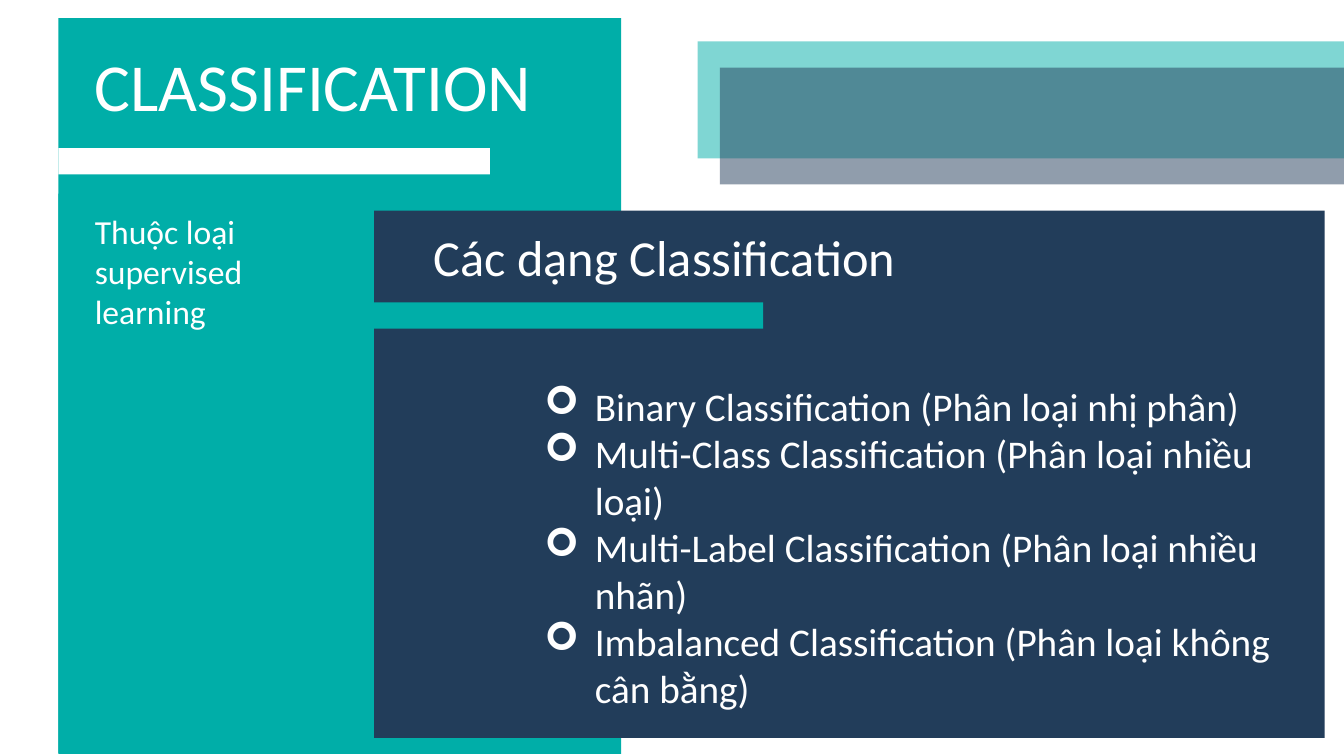
from lxml import etree
from pptx import Presentation
from pptx import util as u
from pptx.dml.color import RGBColor
from pptx.enum import shapes, text
from pptx.oxml import ns

WIDTH, HEIGHT = u.Inches(13.33), u.Inches(7.5)
FONT = "Calibri"
COLOURS = {"teal": "00AEA8", "navy": "223D5A", "white": "FFFFFF"}
BAR = 3.47
PANEL_LEFT, CARD_LEFT, TEXT_LEFT = 4.35, 27.83, 6.3
FORMS = [
    "Binary Classification (Phân loại nhị phân)",
    "Multi-Class Classification (Phân loại nhiều loại)",
    "Multi-Label Classification (Phân loại nhiều nhãn)",
    "Imbalanced Classification (Phân loại không cân bằng)",
]


def frame(left, top, width, height):
    return [
        round(share * side / 100)
        for share, side in zip((left, top, width, height), (WIDTH, HEIGHT) * 2)
    ]


def add_block(page, area, colour, opacity=100):
    block = page.shapes.add_shape(shapes.MSO_SHAPE.RECTANGLE, *frame(*area))
    block.shadow.inherit = False
    block.line.fill.background()
    block.fill.solid()
    block.fill.fore_color.rgb = RGBColor.from_string(COLOURS[colour])
    if opacity < 100:
        tint = block.fill._xPr.find(".//" + ns.qn("a:srgbClr"))
        etree.SubElement(tint, ns.qn("a:alpha"), val=str(opacity * 1000))


def set_bullet(para, bullet):
    properties = para._p.get_or_add_pPr()
    indent = u.Inches(0.5) if bullet else 0
    properties.set("marL", str(indent))
    properties.set("indent", str(-indent))
    if bullet:
        etree.SubElement(properties, ns.qn("a:buFont"), typeface="Wingdings")
        etree.SubElement(properties, ns.qn("a:buChar"), char=bullet)
    else:
        etree.SubElement(properties, ns.qn("a:buNone"))


def fill_placeholder(page, box, area, lines, size, bullet=None):
    box.left, box.top, box.width, box.height = frame(*area)
    page.shapes._spTree.append(box._element)
    body = box.text_frame
    body.word_wrap = True
    body.auto_size = text.MSO_AUTO_SIZE.SHAPE_TO_FIT_TEXT
    body.vertical_anchor = text.MSO_ANCHOR.TOP
    for number, line in enumerate(lines):
        para = body.add_paragraph() if number else body.paragraphs[0]
        para.alignment = text.PP_ALIGN.LEFT
        para.space_before = u.Pt(0)
        set_bullet(para, bullet)
        span = para.add_run()
        span.text = line
        span.font.name = FONT
        span.font.size = u.Pt(size)
        span.font.bold = False
        span.font.color.rgb = RGBColor.from_string(COLOURS["white"])


def main():
    deck = Presentation()
    deck.slide_width, deck.slide_height = WIDTH, HEIGHT
    page = deck.slides.add_slide(deck.slide_layouts.get_by_name("Comparison"))
    title, heading, forms, summary, spare = page.placeholders
    spare._element.getparent().remove(spare._element)

    add_block(page, (PANEL_LEFT, 2.4, 41.86, 97.33), "teal")
    add_block(page, (CARD_LEFT, 27.87, 70.74, 69.73), "navy")
    fill_placeholder(page, title, (TEXT_LEFT, 5.2, 37.96, 12.13), ["CLASSIFICATION"], 48)
    add_block(page, (PANEL_LEFT, 19.6, 32.11, BAR), "white")
    fill_placeholder(page, heading, (31.51, 29.2, 46.06, 9.47), ["Các dạng Classification"], 36)
    add_block(page, (CARD_LEFT, 40, 28.96, BAR), "teal")
    fill_placeholder(page, forms, (39.76, 49.87, 56.71, 45.33), FORMS, 28, "➢")
    add_block(page, (51.91, 5.47, 48.09, 15.47), "teal", 50)
    add_block(page, (53.56, 8.93, 46.44, 15.47), "navy", 50)
    add_block(page, (PANEL_LEFT, 25.6, CARD_LEFT - PANEL_LEFT, 74), "teal")
    fill_placeholder(page, summary, (TEXT_LEFT, 27.2, 20.56, 17.47), ["Thuộc loại supervised learning"], 24)
    deck.save("out.pptx")


if __name__ == "__main__":
    main()
